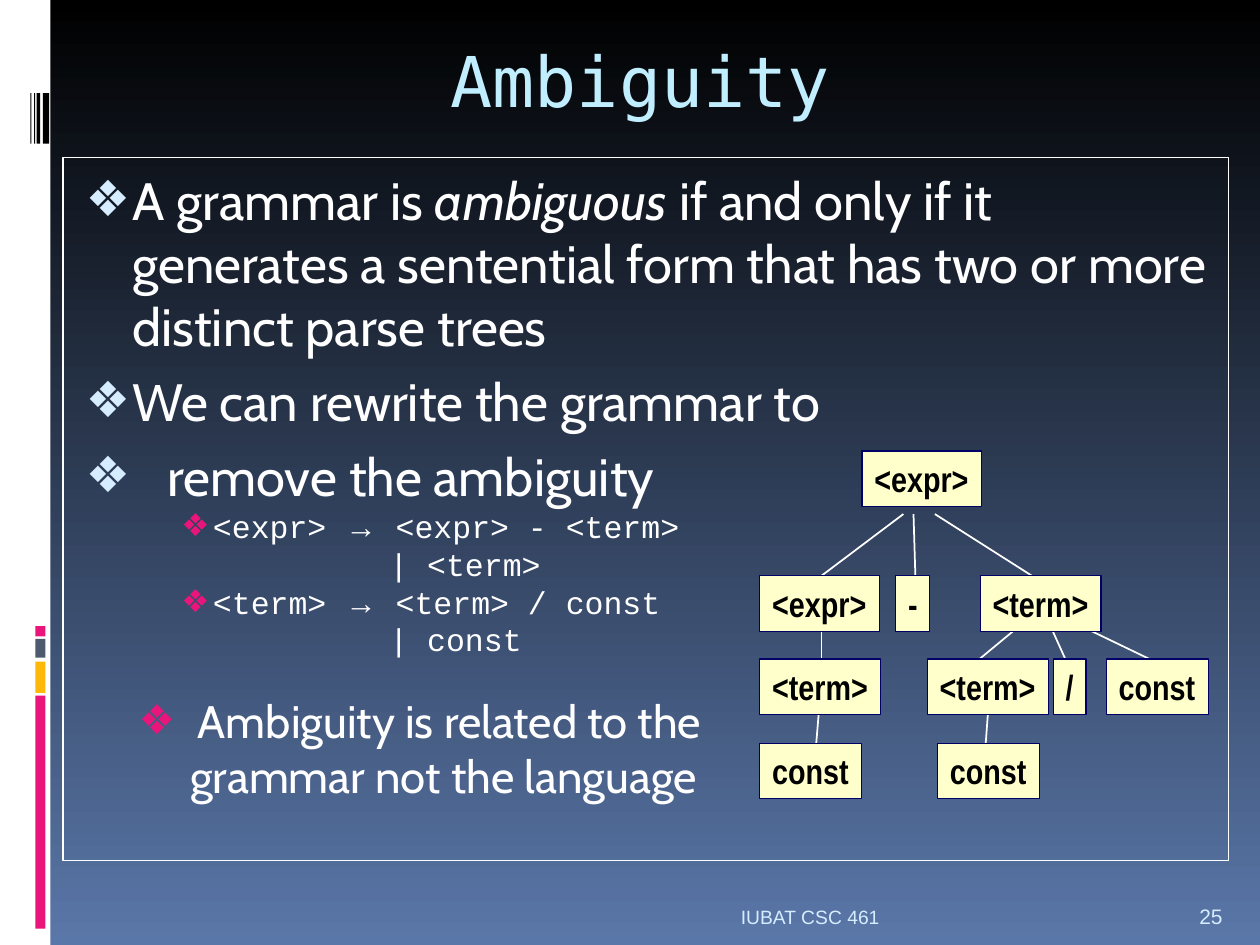
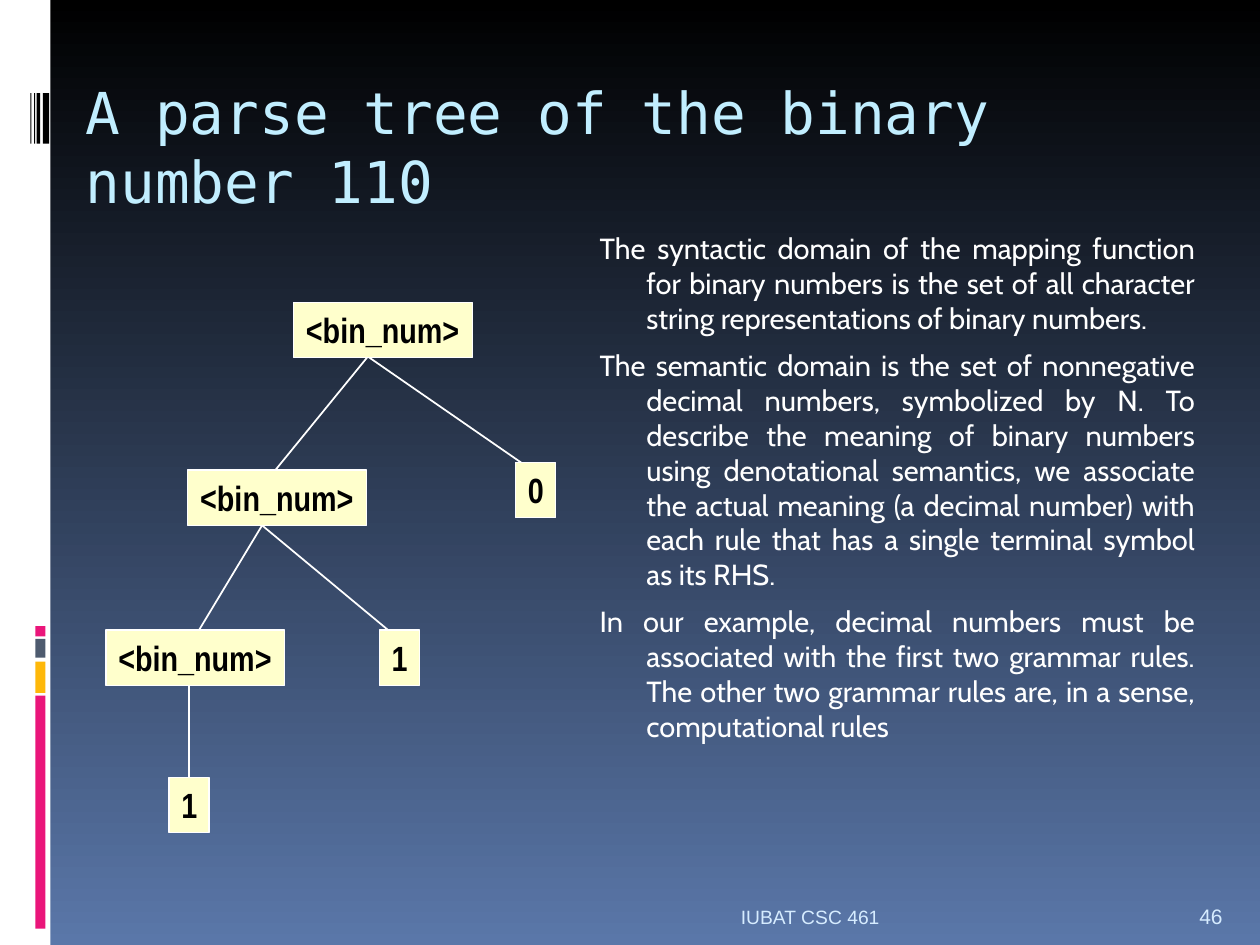
import dataclasses
import typing

import pptx
import pptx.dml.color
import pptx.enum.shapes
import pptx.enum.text
import pptx.oxml
import pptx.oxml.ns
import pptx.util

Inches = pptx.util.Inches
Pt = pptx.util.Pt
Align = pptx.enum.text.PP_ALIGN
Fit = pptx.enum.text.MSO_AUTO_SIZE
Anchor = pptx.enum.text.MSO_ANCHOR
RECT = pptx.enum.shapes.MSO_SHAPE.RECTANGLE
LINE = pptx.enum.shapes.MSO_CONNECTOR.STRAIGHT


@dataclasses.dataclass(frozen=True)
class Theme:
    white: str = "FFFFFF"
    black: str = "000000"
    blue: str = "5A77A9"
    slate: str = "4E5B6F"
    gold: str = "FEB80A"
    pink: str = "EA157A"
    ice: str = "D6ECFF"
    title: str = "C1EEFF"
    cream: str = "FFFFCC"
    navy: str = "000066"
    head_font: str = "DejaVu Sans Mono"
    body_font: str = "Cabin"
    code_font: str = "Courier New"
    node_font: str = "Arial Narrow"
    foot_font: str = "Arial"
    head_size: float = 40
    long_size: float = 33
    body_size: float = 30
    note_size: float = 26
    code_size: float = 18
    text_size: float = 16.6
    node_size: float = 20
    foot_size: float = 11
    page_size: float = 12


theme = Theme()


class Style(typing.NamedTuple):
    level: int
    left: float
    hang: float
    before: float
    font: str
    size: float
    mark: str = ""
    scale: int = 100
    align: Align = Align.LEFT


point = Style(0, 0.45, -0.37, 7, theme.body_font, theme.body_size, theme.ice, 95)
inner = point._replace(left=0.73, hang=-0.65)
rule = Style(2, 1.09, -0.25, 0, theme.code_font, theme.code_size, theme.pink)
choice = rule._replace(left=2.49, hang=0, mark="")
note = Style(1, 0.97, -0.47, 20, theme.body_font, theme.note_size, theme.pink, 90)
rest = note._replace(left=0.91, hang=0, before=0, mark="")
prose = Style(0, 0.45, -0.37, 7, theme.body_font, theme.text_size, align=Align.JUSTIFY)


def paint(shape, fill, line=None):
    shape.shadow.inherit = False
    shape.fill.solid()
    shape.fill.fore_color.rgb = pptx.dml.color.RGBColor.from_string(fill)
    if line:
        shape.line.color.rgb = pptx.dml.color.RGBColor.from_string(line)
        shape.line.width = Pt(0.75)
    else:
        shape.line.fill.background()


def write(para, text, font, size, color, bold=False, slant=False):
    run = para.add_run()
    run.text = text
    run.font.name = font
    run.font.size = Pt(size)
    run.font.bold = bold
    run.font.italic = slant
    run.font.color.rgb = pptx.dml.color.RGBColor.from_string(color)


bands = [
    (0, 0, 0.4, 7.5, theme.white),
    (0.28, 5.52, 0.08, 1.85, theme.pink),
    (0.28, 5.25, 0.08, 0.25, theme.gold),
    (0.28, 5.07, 0.08, 0.15, theme.slate),
    (0.28, 4.97, 0.08, 0.08, theme.pink),
]
for left, width in [(0.34, 0.05), (0.29, 0.03), (0.27, 0.01), (0.24, 0.01)]:
    bands.append((left, 0.74, width, 0.4, theme.black))

widths = {"<expr>": 0.95, "<term>": 0.96, "const": 0.81, "-": 0.27, "/": 0.26,
          "<bin_num>": 1.42, "0": 0.32, "1": 0.32}

pages = [
    {
        "title": "Ambiguity",
        "head": (2.58, 0.25, 5, 0.75),
        "align": Align.CENTER,
        "size": theme.head_size,
        "body": (0.5, 1.25, 9.25, 5.58),
        "frame": True,
        "text": [
            (point, ["A grammar is ", "*ambiguous",
                     " if and only if it generates a sentential form that has "
                     "two or more distinct parse trees"]),
            (point, ["We can rewrite the grammar to"]),
            (inner, ["remove the ambiguity"]),
            (rule, ["<expr> ", "→", " <expr> - <term>"]),
            (choice, ["| <term>"]),
            (rule, ["<term> ", "→", " <term> / const"]),
            (choice, ["| const"]),
            (note, ["Ambiguity is related to the"]),
            (rest, ["grammar not the language"]),
        ],
        "links": [
            ((7.17, 4.08), [(6.52, 4.57)]),
            ((7.42, 4.08), [(8.19, 4.57)]),
            ((7.25, 4.08), [(7.27, 4.73)]),
            ((6.52, 4.9), [(6.52, 5.23)]),
            ((6.52, 5.4), [(6.47, 6)]),
            ((8.27, 4.82), [(7.75, 5.25), (9.33, 5.33), (8.5, 5.33)]),
            ((7.86, 5.4), [(7.81, 6.08)]),
        ],
        "nodes": [
            (3.58, [("<expr>", 6.84)]),
            (4.57, [("<expr>", 6.03), ("-", 7.11), ("<term>", 7.78)]),
            (5.23, [("<term>", 6.03), ("<term>", 7.36), ("/", 8.36), ("const", 8.78)]),
            (5.9, [("const", 6.03), ("const", 7.44)]),
        ],
        "edge": theme.navy,
        "page": "25",
    },
    {
        "title": "A parse tree of the binary number 110",
        "head": (0.58, 0.56, 9.25, 1),
        "align": Align.LEFT,
        "size": theme.long_size,
        "body": (4.58, 1.75, 5, 4.92),
        "frame": False,
        "text": [
            (prose, ["The syntactic domain of the mapping function for binary numbers "
                     "is the set of all character string representations of binary "
                     "numbers."]),
            (prose, ["The semantic domain is the set of nonnegative decimal numbers, "
                     "symbolized by N. To describe the meaning of binary numbers using "
                     "denotational semantics, we associate the actual meaning (a decimal "
                     "number) with each rule that has a single terminal symbol as its "
                     "RHS."]),
            (prose, ["In our example, decimal numbers must be associated with the first "
                     "two grammar rules. The other two grammar rules are, in a sense, "
                     "computational rules"]),
        ],
        "links": [
            ((2.92, 2.83), [(2.17, 3.75), (4.25, 3.75)]),
            ((2.08, 4.17), [(1.58, 5), (3.08, 5)]),
            ((1.5, 5.42), [(1.5, 6.25)]),
        ],
        "nodes": [
            (2.4, [("<bin_num>", 2.33)]),
            (3.73, [("<bin_num>", 1.49)]),
            (3.67, [("0", 4.09)]),
            (5, [("<bin_num>", 0.84), ("1", 3.01)]),
            (6.17, [("1", 1.34)]),
        ],
        "edge": theme.white,
        "page": "46",
    },
]

deck = pptx.Presentation()
deck.slide_width = Inches(10)
deck.slide_height = Inches(7.5)

back = deck.slide_master.background.fill
back.gradient()
back.gradient_angle = 270
for stop, place, color in zip(back.gradient_stops, (0, 1), (theme.black, theme.blue)):
    stop.position = place
    stop.color.rgb = pptx.dml.color.RGBColor.from_string(color)

for page in pages:
    slide = deck.slides.add_slide(deck.slide_layouts[1])
    shapes = slide.shapes
    title, body = shapes.title, slide.placeholders[1]

    for left, top, width, height, color in bands:
        band = shapes.add_shape(RECT, Inches(left), Inches(top), Inches(width), Inches(height))
        paint(band, color)

    for holder, place in ((title, page["head"]), (body, page["body"])):
        holder.left, holder.top, holder.width, holder.height = map(Inches, place)
        holder.text_frame.word_wrap = True
        holder.text_frame.auto_size = Fit.NONE
        holder.text_frame.vertical_anchor = Anchor.TOP

    para = title.text_frame.paragraphs[0]
    para.alignment = page["align"]
    write(para, page["title"], theme.head_font, page["size"], theme.title)

    if page["frame"]:
        body.line.color.rgb = pptx.dml.color.RGBColor.from_string(theme.white)
        body.line.width = Pt(0.75)
    frame = body.text_frame
    frame.margin_top = Inches(0.08)
    for count, (style, parts) in enumerate(page["text"]):
        para = frame.add_paragraph() if count else frame.paragraphs[0]
        para.level = style.level
        para.alignment = style.align
        para.space_before = Pt(style.before if count else 0)
        props = para._p.get_or_add_pPr()
        props.set("marL", str(Inches(style.left)))
        props.set("indent", str(Inches(style.hang)))
        marks = ["<a:buNone {}/>"]
        if style.mark:
            marks = [
                '<a:buClr {}><a:srgbClr val="%s"/></a:buClr>' % style.mark,
                '<a:buSzPct {} val="%d"/>' % (style.scale * 1000),
                '<a:buChar {} char="❖"/>',
            ]
        for mark in marks:
            props.append(pptx.oxml.parse_xml(mark.format(pptx.oxml.ns.nsdecls("a"))))
        for part in parts:
            font = theme.foot_font if part == "→" else style.font
            write(para, part.removeprefix("*"), font, style.size, theme.white,
                  slant=part.startswith("*"))

    feet = [
        (1, 6.08, Align.RIGHT, "IUBAT CSC 461", theme.foot_size),
        (9.42, 0.5, Align.LEFT, page["page"], theme.page_size),
    ]
    for left, width, align, text, size in feet:
        foot = shapes.add_textbox(Inches(left), Inches(7.02), Inches(width), Inches(0.4))
        foot.text_frame.word_wrap = True
        foot.text_frame.vertical_anchor = Anchor.BOTTOM
        para = foot.text_frame.paragraphs[0]
        para.alignment = align
        write(para, text, theme.foot_font, size, theme.ice)

    for start, ends in page["links"]:
        for end in ends:
            link = shapes.add_connector(LINE, *map(Inches, start + end))
            link.line.color.rgb = pptx.dml.color.RGBColor.from_string(theme.white)
            link.line.width = Pt(1)
            link._element.spPr.append(pptx.oxml.parse_xml(
                "<a:effectLst %s/>" % pptx.oxml.ns.nsdecls("a")))

    for top, row in page["nodes"]:
        for word, left in row:
            node = shapes.add_shape(RECT, Inches(left), Inches(top),
                                    Inches(widths[word]), Inches(0.44))
            paint(node, theme.cream, page["edge"])
            node.text_frame.word_wrap = False
            node.text_frame.auto_size = Fit.SHAPE_TO_FIT_TEXT
            node.text_frame.vertical_anchor = Anchor.TOP
            para = node.text_frame.paragraphs[0]
            para.alignment = Align.LEFT
            write(para, word, theme.node_font, theme.node_size, theme.black, bold=True)

deck.save("out.pptx")
